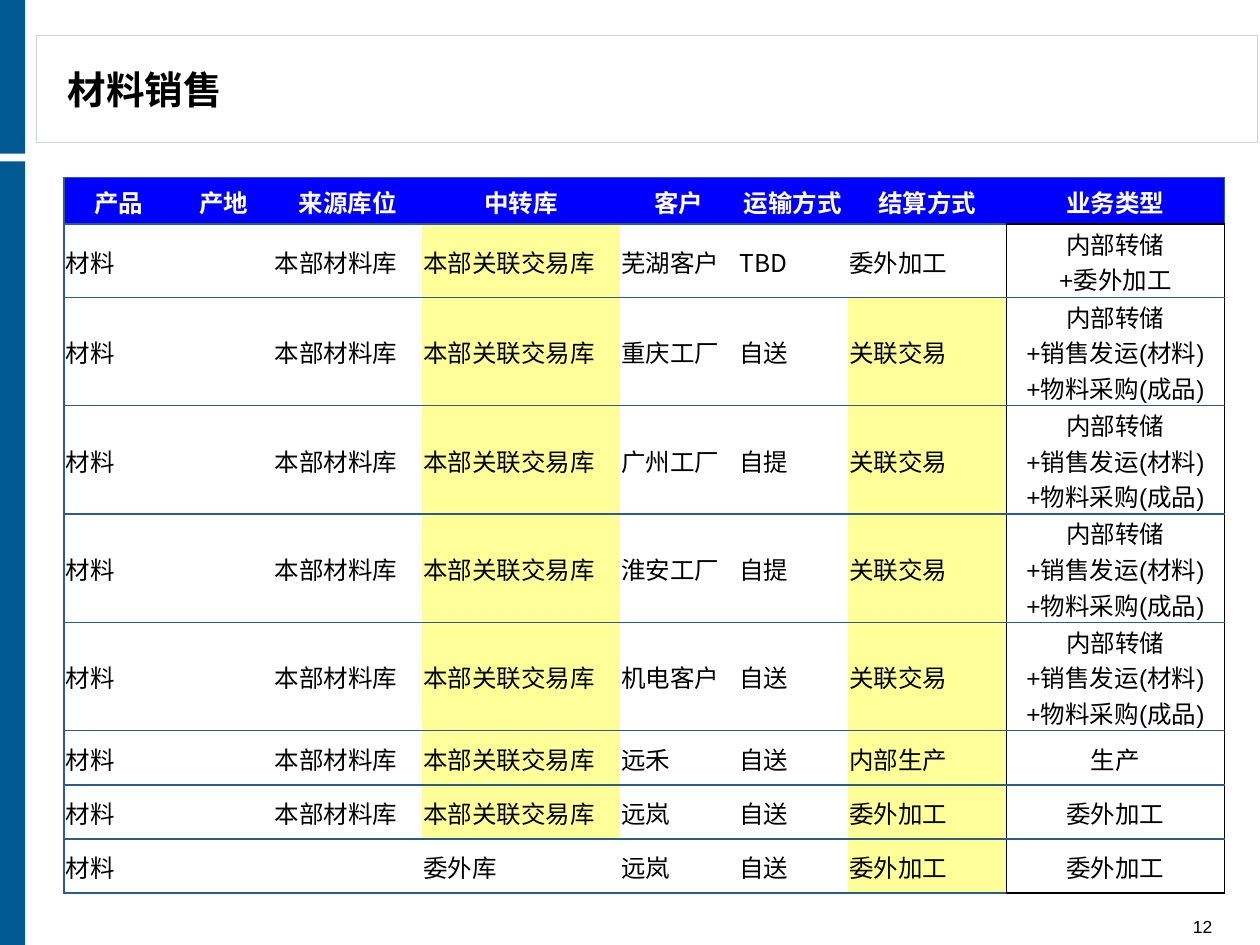
from typing import NamedTuple

import pptx
import pptx.dml.color
import pptx.enum.shapes
import pptx.enum.text
import pptx.oxml.ns
import pptx.util
from lxml import etree

Inches = pptx.util.Inches
Pt = pptx.util.Pt
Align = pptx.enum.text.PP_ALIGN
Anchor = pptx.enum.text.MSO_ANCHOR
qn = pptx.oxml.ns.qn

HUES = {
    "white": "FFFFFF",
    "black": "000000",
    "bar": "005A92",
    "frame": "D0D3DA",
    "head": "0000FF",
    "mark": "FFFF99",
    "rule": "2D5C8A",
}
LATIN = "Arial"
HAN = "Noto Sans CJK SC"


class Box(NamedTuple):
    left: float
    top: float
    width: float
    height: float
    fill: str
    line: str = ""


class Row(NamedTuple):
    height: float
    cells: list[str]
    marks: tuple[int, ...] = ()


BOXES = [
    Box(0.29, 0.28, 9.69, 0.85, "white", "frame"),
    Box(0, 1.28, 0.2, 6.22, "bar"),
    Box(0, 0, 0.2, 1.22, "bar"),
]
WIDTHS = [0.87, 0.79, 1.18, 1.57, 0.94, 0.87, 1.26, 1.73]
GOODS, STORE, HUB = "材料", "本部材料库", "本部关联交易库"
TRADE = "内部转储\n+销售发运(材料)\n+物料采购(成品)"
MAKER = "委外加工"
HEADS = ["产品", "产地", "来源库位", "中转库", "客户", "运输方式", "结算方式", "业务类型"]
PLANTS = [("重庆工厂", "自送"), ("广州工厂", "自提"), ("淮安工厂", "自提"), ("机电客户", "自送")]
ROWS = [
    Row(0.37, HEADS),
    Row(0.58, [GOODS, "", STORE, HUB, "芜湖客户", "TBD", MAKER, "内部转储\n+委外加工"], (3,)),
    *[Row(0.86, [GOODS, "", STORE, HUB, name, way, "关联交易", TRADE], (3, 6))
      for name, way in PLANTS],
    Row(0.43, [GOODS, "", STORE, HUB, "远禾", "自送", "内部生产", "生产"], (3, 6)),
    Row(0.43, [GOODS, "", STORE, HUB, "远岚", "自送", MAKER, MAKER], (3, 6)),
    Row(0.43, [GOODS, "", "", "委外库", "远岚", "自送", MAKER, MAKER], (6,)),
]


def tint(hue: str) -> pptx.dml.color.RGBColor:
    return pptx.dml.color.RGBColor.from_string(HUES[hue])


def write(frame, text: str, *, size: float = 14, hue: str = "black", bold: bool = False,
          font: str = LATIN, align=Align.LEFT) -> None:
    frame.word_wrap = True
    for i, line in enumerate(text.split("\n")):
        para = frame.paragraphs[0] if i == 0 else frame.add_paragraph()
        para.alignment = align
        para.font.size = Pt(size)
        if not line:
            continue
        run = para.add_run()
        run.text = line
        run.font.name = font
        run.font.size = Pt(size)
        run.font.bold = bold
        run.font.color.rgb = tint(hue)
        east = etree.SubElement(run.font._element, qn("a:ea"))
        east.set("typeface", HAN)


def block(slide, box: Box) -> None:
    kind = pptx.enum.shapes.MSO_SHAPE.RECTANGLE
    shape = slide.shapes.add_shape(kind, *map(Inches, box[:4]))
    shape.shadow.inherit = False
    shape.fill.solid()
    shape.fill.fore_color.rgb = tint(box.fill)
    if box.line:
        shape.line.color.rgb = tint(box.line)
        shape.line.width = Pt(0.75)
    else:
        shape.line.fill.background()


def label(slide, area: tuple[float, ...], text: str, anchor, **style) -> None:
    frame = slide.shapes.add_textbox(*map(Inches, area)).text_frame
    frame.margin_left = frame.margin_right = Inches(0.1)
    frame.margin_top = frame.margin_bottom = 0
    frame.vertical_anchor = anchor
    write(frame, text, **style)


def edge(cell, sides: dict[str, str]) -> None:
    props = cell._tc.get_or_add_tcPr()
    for side in "LRTB":
        line = etree.SubElement(props, qn(f"a:ln{side}"), w=str(Pt(1)))
        if side in sides:
            fill = etree.SubElement(line, qn("a:solidFill"))
            etree.SubElement(fill, qn("a:srgbClr"), val=HUES[sides[side]])
        else:
            etree.SubElement(line, qn("a:noFill"))


def sides(r: int, c: int) -> dict[str, str]:
    last = len(WIDTHS) - 1
    out = {"T": "rule", "B": "rule"}
    if c == 0:
        out["L"] = "rule"
    if c == last:
        out["R"] = "black" if r else "rule"
        if r:
            out["L"] = "black"
        if r == 1:
            out["T"] = "black"
        if r in (0, len(ROWS) - 1):
            out["B"] = "black"
    if c == last - 1 and r:
        out["R"] = "black"
    return out


def grid(slide) -> None:
    area = (0.51, 1.41, sum(WIDTHS), sum(row.height for row in ROWS))
    table = slide.shapes.add_table(len(ROWS), len(WIDTHS), *map(Inches, area)).table
    table.horz_banding = False
    for col, width in zip(table.columns, WIDTHS):
        col.width = Inches(width)
    for r, row in enumerate(ROWS):
        table.rows[r].height = Inches(row.height)
        for c, text in enumerate(row.cells):
            cell = table.cell(r, c)
            cell.margin_left = cell.margin_right = cell.margin_top = Inches(0.01)
            cell.margin_bottom = 0
            cell.vertical_anchor = Anchor.MIDDLE
            edge(cell, sides(r, c))
            cell.fill.solid()
            cell.fill.fore_color.rgb = tint(
                "head" if r == 0 else "mark" if c in row.marks else "white")
            end = c == len(WIDTHS) - 1
            write(cell.text_frame, text, bold=r == 0,
                  hue="black" if r else "white",
                  font=LATIN if r == 0 or end else HAN,
                  align=Align.CENTER if r == 0 or end else Align.LEFT)


def main() -> None:
    deck = pptx.Presentation()
    deck.slide_width, deck.slide_height = Inches(10), Inches(7.5)
    slide = deck.slides.add_slide(deck.slide_layouts[6])
    for box in BOXES:
        block(slide, box)
    label(slide, (0.44, 0.31, 6.3, 0.79), "材料销售", Anchor.MIDDLE, size=22, bold=True)
    label(slide, (8.78, 7.26, 0.94, 0.18), "12", Anchor.BOTTOM, size=10, align=Align.RIGHT)
    grid(slide)
    deck.save("out.pptx")


main()
